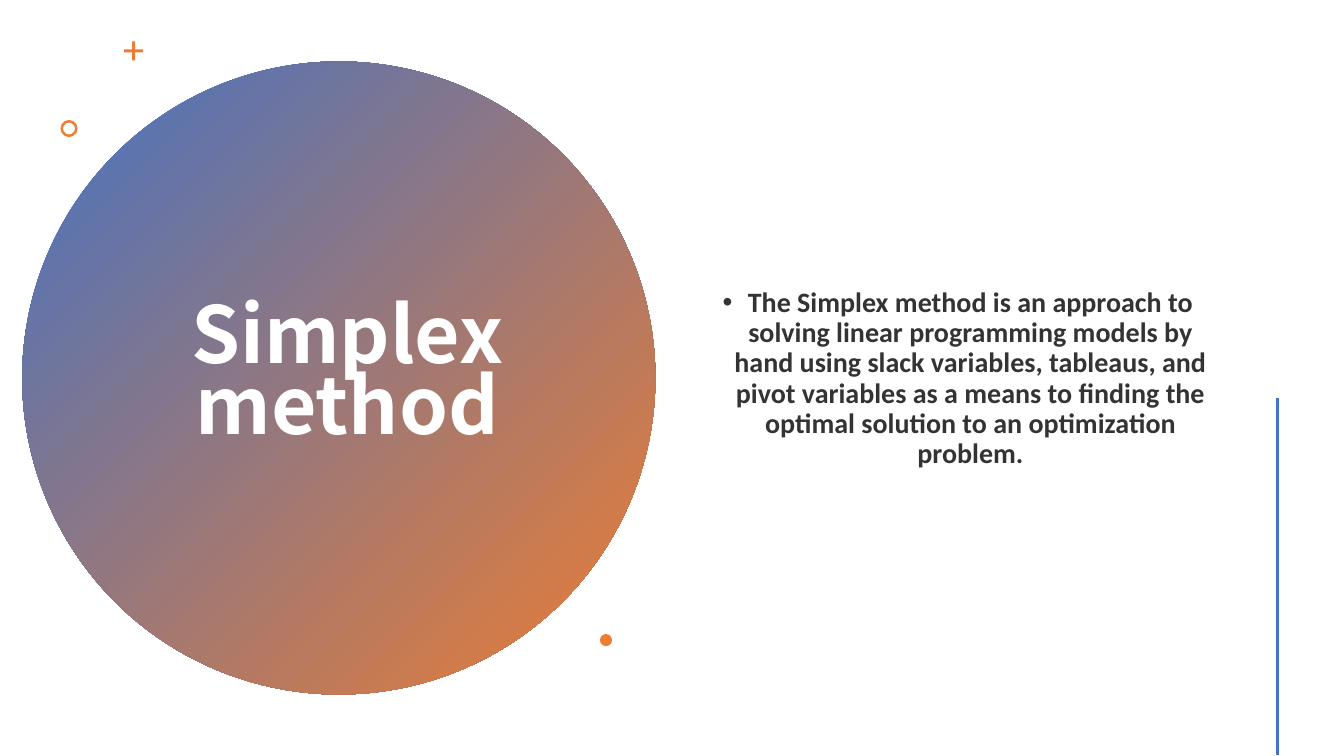
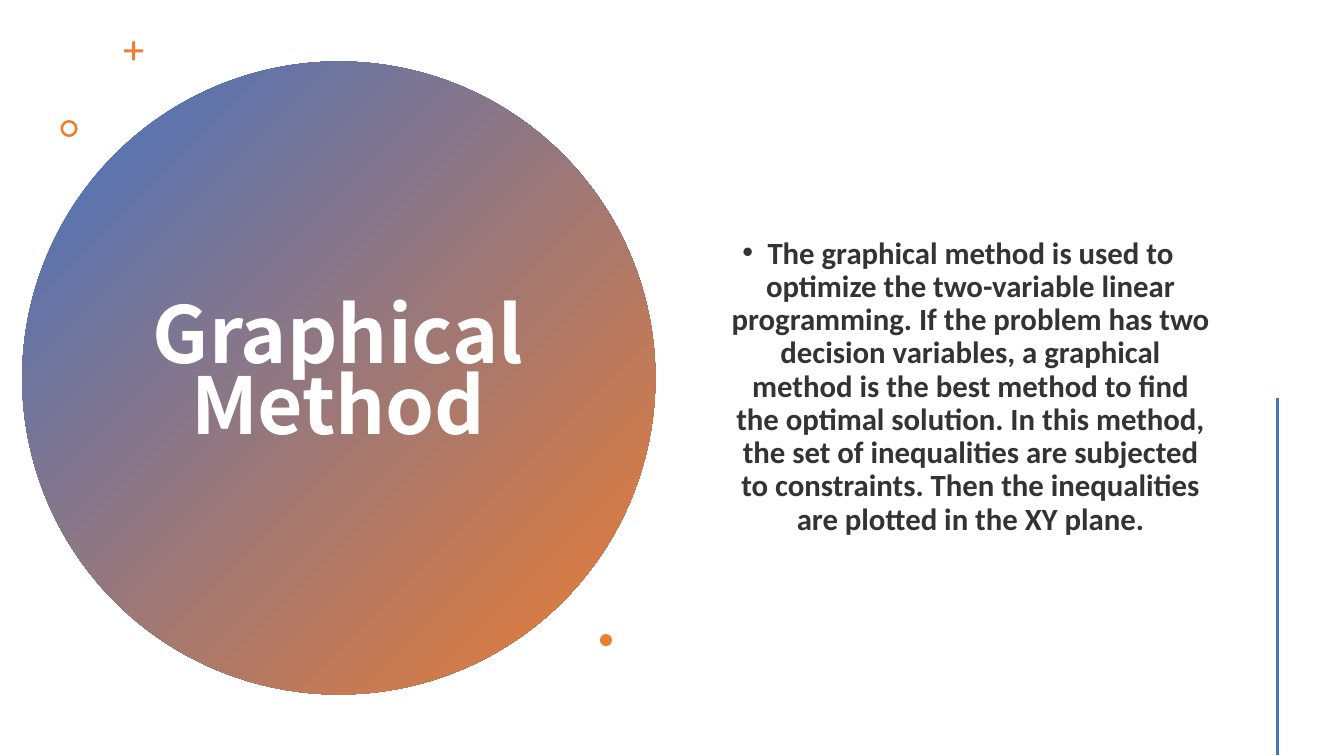
import pptx
import pptx.dml.color
import pptx.enum.shapes
import pptx.enum.text
import pptx.oxml.ns
import pptx.util
from lxml import etree

Inches = pptx.util.Inches
Pt = pptx.util.Pt
Shape = pptx.enum.shapes.MSO_SHAPE

BLUE, ORANGE, WHITE, DARK = "4472C4", "ED7D31", "FFFFFF", "333333"
TITLE = {"name": "Noto Sans CJK JP", "size": Pt(56), "bold": True}
BODY = {"name": "Calibri", "bold": True}

# preset, left, top, size, adjustment
MARKS = [
    (Shape.CROSS, 1.23, 0.41, 0.19, 0.42),
    (Shape.DONUT, 0.6, 1.19, 0.17, 0.15),
    (Shape.OVAL, 5.95, 6.29, 0.12, None),
]

# title, title width, body, body size, body top
TOPICS = [
    ("Simplex method", 4.17,
     "The Simplex method is an approach to solving linear programming models "
     "by hand using slack variables, tableaus, and pivot variables as a means "
     "to finding the optimal solution to an optimization problem.", 20, 0.57),
    ("Graphical Method", 3.99,
     "The graphical method is used to optimize the two-variable linear "
     "programming. If the problem has two decision variables, a graphical "
     "method is the best method to find the optimal solution. In this method, "
     "the set of inequalities are subjected to constraints. Then the "
     "inequalities are plotted in the XY plane.", 22, 0.65),
]


def color(code):
    return pptx.dml.color.RGBColor.from_string(code)


def add_mark(slide, kind, left, top, size, adjust=None):
    """Add a square-framed orange shape without an outline."""
    mark = slide.shapes.add_shape(
        kind, Inches(left), Inches(top), Inches(size), Inches(size))
    mark.shadow.inherit = False
    mark.line.fill.background()
    mark.fill.solid()
    mark.fill.fore_color.rgb = color(ORANGE)
    if adjust is not None:
        mark.adjustments[0] = adjust
    return mark


def add_disc(slide):
    fill = add_mark(slide, Shape.OVAL, 0.22, 0.61, 6.28).fill
    fill.gradient()
    fill.gradient_angle = 315
    for stop, code in zip(fill.gradient_stops, (BLUE, ORANGE)):
        stop.color.rgb = color(code)


def add_text(slide, text, box, style, code, spacing):
    """Add one centred paragraph and return it."""
    frame = slide.shapes.add_textbox(*map(Inches, box)).text_frame
    frame.word_wrap = True
    frame.vertical_anchor = pptx.enum.text.MSO_ANCHOR.MIDDLE
    para = frame.paragraphs[0]
    para.alignment = pptx.enum.text.PP_ALIGN.CENTER
    para.line_spacing = spacing
    run = para.add_run()
    run.text = text
    for key, value in style.items():
        setattr(run.font, key, value)
    run.font.color.rgb = color(code)
    return para


def add_bullet(para):
    props = para._p.get_or_add_pPr()
    props.set("marL", str(Inches(0.25)))
    props.set("indent", str(Inches(-0.25)))
    for tag, key, value in (("a:buFont", "typeface", "Arial"),
                            ("a:buChar", "char", "•")):
        etree.SubElement(props, pptx.oxml.ns.qn(tag)).set(key, value)


def add_rule(slide):
    rule = slide.shapes.add_connector(
        pptx.enum.shapes.MSO_CONNECTOR.STRAIGHT,
        Inches(12.67), Inches(3.95), Inches(12.67), Inches(7.49))
    rule.line.color.rgb = color(BLUE)
    rule.line.width = Pt(2)
    etree.SubElement(rule._element.spPr, pptx.oxml.ns.qn("a:effectLst"))


def add_topic(deck, title, width, body, size, top):
    slide = deck.slides.add_slide(deck.slide_layouts[6])
    add_disc(slide)
    add_text(slide, title, (1.36, 1.41, width, 4.67), TITLE, WHITE, 0.76)
    for mark in MARKS:
        add_mark(slide, *mark)
    para = add_text(slide, body, (6.89, top, 5.22, 6.38),
                    {**BODY, "size": Pt(size)}, DARK, 0.9)
    para.space_before = Pt(10)
    add_bullet(para)
    add_rule(slide)


def main():
    deck = pptx.Presentation()
    deck.slide_width = Inches(13.33)
    deck.slide_height = Inches(7.5)
    for topic in TOPICS:
        add_topic(deck, *topic)
    deck.save("out.pptx")


if __name__ == "__main__":
    main()
